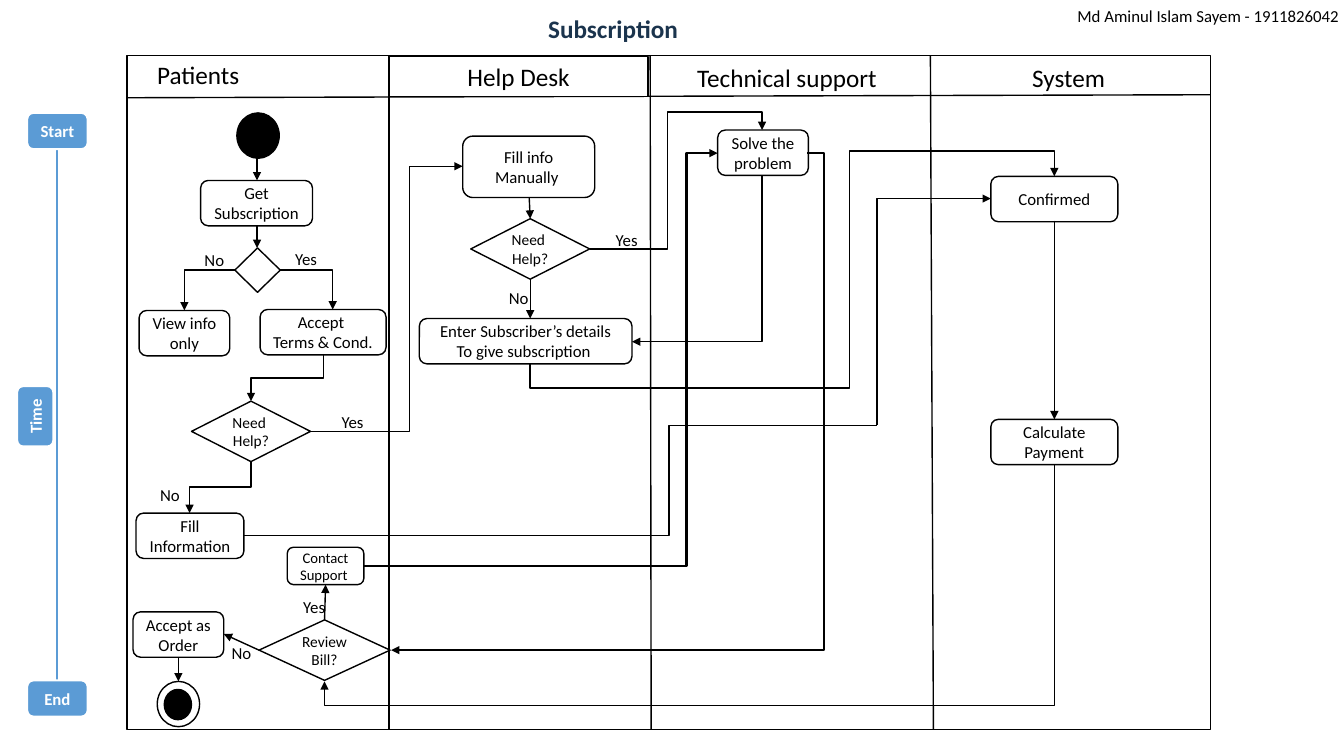
import pptx
import pptx.dml.color
import pptx.enum.shapes
import pptx.enum.text
import pptx.oxml.ns
import pptx.util
from lxml import etree

COLORS = {"ink": "000000", "paper": "FFFFFF", "time": "5B9BD5", "title": "1B344D"}
SHAPE = pptx.enum.shapes.MSO_SHAPE
LINK = pptx.enum.shapes.MSO_CONNECTOR
ALIGN = pptx.enum.text.PP_ALIGN
ANCHOR = pptx.enum.text.MSO_ANCHOR
FIT = pptx.enum.text.MSO_AUTO_SIZE
qn = pptx.oxml.ns.qn


def rgb(name):
    return pptx.dml.color.RGBColor.from_string(COLORS[name])


class Diagram:
    columns, rows, cell = 133.33, 75, 0.1
    font = "Calibri"

    def __init__(self):
        self.prs = pptx.Presentation()
        self.prs.slide_width = self.grid(self.columns)
        self.prs.slide_height = self.grid(self.rows)
        self.s = self.prs.slides.add_slide(self.prs.slide_layouts[6])

    def grid(self, cells):
        return pptx.util.Inches(cells * self.cell)

    def set_text(self, sp, text, size, color, bold, align, frame):
        tf = sp.text_frame
        for key, value in frame.items():
            setattr(tf, key, value)
        p = tf.paragraphs[0]
        p.text = text
        p.alignment = align
        style = {"name": self.font, "size": pptx.util.Pt(size), "bold": bold}
        for r in p.runs:
            for key, value in style.items():
                setattr(r.font, key, value)
            r.font.color.rgb = rgb(color)
        for br in p._p.findall(qn("a:br")):
            etree.SubElement(br, qn("a:rPr"), sz=str(int(size * 100)))

    def label(self, text, x, y, w, h=3, size=12, color="ink", bold=False,
              align=ALIGN.LEFT, wrap=False):
        sp = self.s.shapes.add_textbox(*map(self.grid, (x, y, w, h)))
        frame = {"word_wrap": wrap, "auto_size": FIT.SHAPE_TO_FIT_TEXT}
        self.set_text(sp, text, size, color, bold, align, frame)

    def shape(self, kind, x, y, w, h, fill="paper", line="ink", weight=1, text="",
              size=12, color="ink", bold=False, anchor=ANCHOR.MIDDLE, turn=0):
        sp = self.s.shapes.add_shape(kind, *map(self.grid, (x, y, w, h)))
        sp.shadow.inherit = False
        sp.rotation = turn
        if fill:
            sp.fill.solid()
            sp.fill.fore_color.rgb = rgb(fill)
        else:
            sp.fill.background()
        sp.line.color.rgb = rgb(line)
        sp.line.width = pptx.util.Pt(weight)
        if text:
            frame = {"word_wrap": True, "vertical_anchor": anchor}
            self.set_text(sp, text, size, color, bold, ALIGN.CENTER, frame)

    def step(self, text, x, y, w, h=4.5, size=12):
        self.shape(SHAPE.FLOWCHART_ALTERNATE_PROCESS, x, y, w, h, text=text, size=size)

    def decision(self, text, x, y, w=11.8, h=6):
        self.shape(SHAPE.FLOWCHART_DECISION, x, y, w, h, text=text, size=11)

    def time_mark(self, text, x, y, turn=0):
        self.shape(SHAPE.FLOWCHART_ALTERNATE_PROCESS, x, y, 6, 3.6, "time", "paper", 1.5,
                   text, color="paper", bold=True, turn=turn)

    def connector(self, kind, x1, y1, x2, y2, color="ink", weight=1, arrow=True):
        c = self.s.shapes.add_connector(kind, *map(self.grid, (x1, y1, x2, y2)))
        c.line.color.rgb = rgb(color)
        c.line.width = pptx.util.Pt(weight)
        spPr = c._element.spPr
        if arrow:
            etree.SubElement(spPr.find(qn("a:ln")), qn("a:tailEnd"), type="triangle")
        etree.SubElement(spPr, qn("a:effectLst"))
        return spPr

    def line(self, *ends, **style):
        self.connector(LINK.STRAIGHT, *ends, **style)

    def elbow(self, x1, y1, x2, y2, bends=(), down=False, **style):
        dx, dy = x2 - x1, y2 - y1
        spans = [(x1, dx), (y1, dy)]
        w, h = dx, dy
        if down:
            spans.reverse()
            w, h = dy, -dx
        mx, my = (x1 + x2) / 2, (y1 + y2) / 2
        spPr = self.connector(LINK.ELBOW, mx - w / 2, my - h / 2, mx + w / 2, my + h / 2,
                              **style)
        if down:
            spPr.find(qn("a:xfrm")).set("rot", "5400000")
        geom = spPr.find(qn("a:prstGeom"))
        geom.set("prst", f"bentConnector{2 + len(bends)}")
        guides = geom.find(qn("a:avLst"))
        if guides is None:
            guides = etree.SubElement(geom, qn("a:avLst"))
        for i, (bend, (start, span)) in enumerate(zip(bends, spans), 1):
            share = round((bend - start) / span * 100000)
            etree.SubElement(guides, qn("a:gd"), name=f"adj{i}", fmla=f"val {share}")


def main():
    d = Diagram()

    d.shape(SHAPE.RECTANGLE, 12.6, 5.5, 107.5, 66.9, fill=None)
    d.line(12.6, 9.7, 120.1, 9.4, arrow=False)
    for top, bottom in ((38.6, 38.6), (64.5, 64.6), (92.3, 92.6)):
        d.line(top, 5.5, bottom, 72.4, arrow=False)
    d.label("Patients", 14.6, 5.4, 23.9, 4, 18, wrap=True)
    d.shape(SHAPE.RECTANGLE, 38.6, 5.6, 25.7, 4, text="Help Desk", size=18,
            anchor=ANCHOR.TOP)
    for text, x, w in (("Technical support ", 64.5, 27.7), ("System ", 92.3, 28)):
        d.label(text, x, 5.7, w, 4, 18, align=ALIGN.CENTER, wrap=True)
    d.label("Subscription", 53.4, 0.8, 15.6, 4, 18, "title", True)
    d.label("Md Aminul Islam Sayem - 1911826042", 105.9, 0.1, 28.3)

    d.line(5.7, 14.8, 5.7, 67.5, color="time", weight=1.5, arrow=False)
    for mark in (("Start", 2.7, 11.2), ("End", 2.7, 67.5), ("Time", 0.5, 39.5, 270)):
        d.time_mark(*mark)

    for x, y, w, h, fill in ((23.5, 11.2, 4.2, 4.5, "ink"), (16.3, 68.4, 2.7, 3, "ink"),
                             (15.6, 67.6, 4.2, 4.5, None)):
        d.shape(SHAPE.OVAL, x, y, w, h, fill)

    for step in (
        ("Get Subscription ", 19.9, 17.9, 11.1),
        ("View info only", 13.8, 30.8, 9),
        ("Accept \nTerms & Cond.", 25.8, 30.7, 12.5),
        ("Fill Information", 13.5, 50.9, 10.7),
        ("Accept as Order", 13.2, 60.7, 9),
        ("Contact Support ", 28.5, 54.3, 7.6, 3.7, 10.5),
        ("Fill info\nManually ", 45.9, 13.5, 13.1, 6.1),
        ("Enter Subscriber’s details\nTo give subscription ", 41.6, 31.6, 21.1),
        ("Solve the problem", 71.2, 12.9, 9),
        ("Confirmed", 98.3, 17.5, 12.6),
        ("Calculate Payment", 98.3, 41.6, 12.6),
    ):
        d.step(*step)

    for choice in (
        ("", 23.3, 24.6, 4.5, 4.4),
        ("Need \nHelp?", 19, 39.8),
        ("Need \nHelp?", 46.7, 21.7),
        ("Review Bill?", 25.7, 61.5, 13),
    ):
        d.decision(*choice)

    for ends in (
        (25.5, 15.7, 25.5, 17.9),
        (25.5, 22.4, 25.5, 24.6),
        (52.5, 19.6, 52.6, 21.7),
        (52.6, 27.7, 52.6, 31.6),
        (104.6, 21.9, 104.6, 41.6),
        (17.7, 65.2, 17.7, 67.6),
        (25.7, 64.5, 22.2, 62.9),
        (32.2, 61.5, 32.3, 58),
    ):
        d.line(*ends)

    for ends, bends, style in (
        ((27.8, 26.8, 33, 30.7), (), {}),
        ((23.3, 26.8, 18.3, 30.8), (), {}),
        ((30.8, 42.8, 45.9, 16.5), (40.6,), {}),
        ((58.5, 24.7, 75.6, 12.9), (66.2, 11.1), {}),
        ((83.3, 38.5, 104.6, 17.5), (84.3, 15), {}),
        ((24.1, 53.1, 87, 42.2), (66.4,), {"arrow": False}),
        ((36.1, 56.2, 71.2, 15.2), (68.1,), {"weight": 1.5}),
        ((80.1, 15.2, 38.8, 64.5), (81.8,), {"weight": 1.5}),
        ((32.1, 35.1, 24.9, 39.8), (37.5,), {"down": True}),
        ((24.9, 45.8, 18.8, 50.9), (48.3,), {"down": True}),
        ((75.6, 17.4, 62.7, 33.9), (), {"down": True}),
        ((52.6, 36.1, 83.3, 38.5), (), {"down": True, "arrow": False}),
        ((87, 42.2, 98.3, 19.7), (), {"down": True}),
        ((104.6, 46.1, 32.2, 67.6), (70,), {"down": True}),
    ):
        d.elbow(*ends, bends, **style)

    for x, y in ((32.9, 40.4), (60.1, 22.3), (28.3, 24.2), (29.1, 58.7)):
        d.label("Yes", x, y, 4.2)
    for x, y in ((22, 63.3), (14.9, 47.6), (49.5, 28.1), (19.3, 24.3)):
        d.label("No", x, y, 4)

    d.prs.save("out.pptx")


if __name__ == "__main__":
    main()
